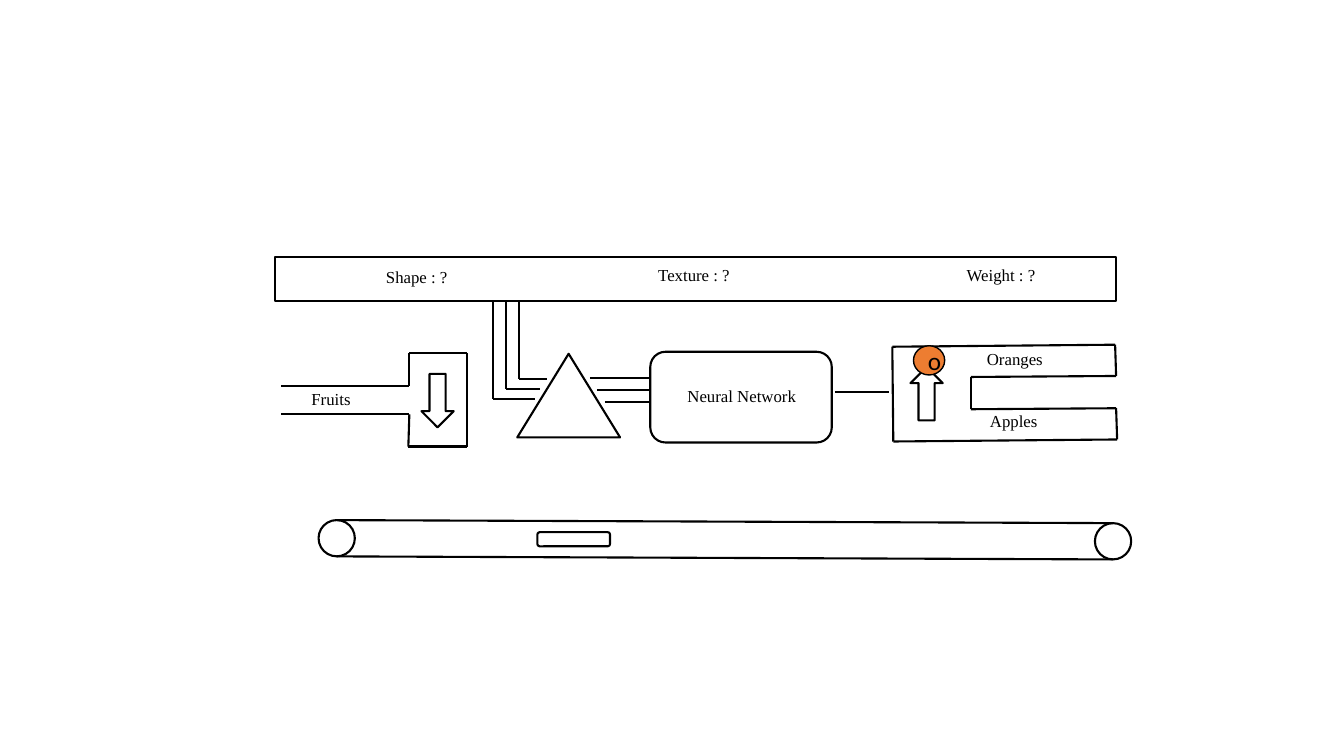
import itertools
from dataclasses import dataclass

import lxml.etree
import pptx
import pptx.dml.color
import pptx.enum.shapes
import pptx.enum.text
import pptx.oxml.ns
import pptx.util

Inches = pptx.util.Inches
Pt = pptx.util.Pt
Color = pptx.dml.color.RGBColor
Shapes = pptx.enum.shapes.MSO_SHAPE


@dataclass
class Theme:
    ink = Color(0x00, 0x00, 0x00)
    paper = Color(0xFF, 0xFF, 0xFF)
    orange = Color(0xED, 0x7D, 0x31)
    label_format = {"name": "Times New Roman", "size": Pt(12)}
    fruit_format = {"name": "Calibri", "size": Pt(18)}
    outline = 1.5
    fruit_outline = 1


class Diagram:
    def __init__(self, slide, theme):
        self.slide = slide
        self.theme = theme

    def ink_line(self, line, width):
        line.color.rgb = self.theme.ink
        line.width = Pt(width)

    def fill_text(self, frame, text, font_format, frame_format):
        for key, value in frame_format.items():
            setattr(frame, key, value)
        run = frame.paragraphs[0].add_run()
        run.text = text
        run.font.color.rgb = self.theme.ink
        for key, value in font_format.items():
            setattr(run.font, key, value)

    def block(self, kind, left, top, width, height, fill=None, outline=None):
        shape = self.slide.shapes.add_shape(
            kind, Inches(left), Inches(top), Inches(width), Inches(height))
        shape.shadow.inherit = False
        shape.fill.solid()
        shape.fill.fore_color.rgb = fill or self.theme.paper
        self.ink_line(shape.line, outline or self.theme.outline)
        return shape

    def trace(self, *points):
        for start, end in itertools.pairwise(points):
            connector = self.slide.shapes.add_connector(
                pptx.enum.shapes.MSO_CONNECTOR.STRAIGHT,
                *(Inches(value) for value in start + end))
            self.ink_line(connector.line, self.theme.outline)
            lxml.etree.SubElement(
                connector._element.spPr, pptx.oxml.ns.qn("a:effectLst"))

    def label(self, text, left, top, width):
        box = self.slide.shapes.add_textbox(
            Inches(left), Inches(top), Inches(width), Inches(0.3))
        self.fill_text(box.text_frame, text, self.theme.label_format, {
            "word_wrap": True,
            "auto_size": pptx.enum.text.MSO_AUTO_SIZE.SHAPE_TO_FIT_TEXT,
        })

    def fruit(self, letter, left, top, width, height):
        ball = self.block(Shapes.OVAL, left, top, width, height,
                          self.theme.orange, self.theme.fruit_outline)
        self.fill_text(ball.text_frame, letter, self.theme.fruit_format, {
            "word_wrap": True,
            "vertical_anchor": pptx.enum.text.MSO_ANCHOR.MIDDLE,
        })
        ball.text_frame.paragraphs[0].alignment = pptx.enum.text.PP_ALIGN.CENTER


def draw_sorting_line(diagram):
    diagram.block(Shapes.RECTANGLE, 2.73, 2.55, 8.34, 0.44)
    diagram.trace((2.79, 3.83), (4.06, 3.83), (4.06, 3.5), (4.63, 3.5),
                  (4.63, 4.43), (4.05, 4.43), (4.06, 4.11), (2.79, 4.11))
    diagram.block(Shapes.ISOSCELES_TRIANGLE, 5.13, 3.51, 1.02, 0.83)
    network_left = 6.45
    diagram.block(Shapes.FLOWCHART_ALTERNATE_PROCESS,
                  network_left, 3.49, 1.8, 0.9)
    diagram.trace((8.85, 3.44), (8.86, 4.38), (11.08, 4.36), (11.07, 4.05),
                  (9.63, 4.06), (9.63, 3.74), (11.07, 3.73), (11.06, 3.42),
                  (8.85, 3.44))

    for left, top, rotation in ((4.18, 3.71, 0), (9.03, 3.64, 180)):
        gate_arrow = diagram.block(Shapes.DOWN_ARROW, left, top, 0.32, 0.53)
        gate_arrow.rotation = rotation

    for text, left, top, width in (
            ("Shape : ?", 3.73, 2.6, 0.97),
            ("Texture : ?", 6.43, 2.58, 0.97),
            ("Weight : ?", 9.49, 2.58, 0.97),
            ("Neural Network", 6.72, 3.78, 1.36),
            ("Oranges", 9.69, 3.41, 1.36),
            ("Apples", 9.72, 4.03, 1.36),
            ("Fruits", 2.99, 3.81, 0.82)):
        diagram.label(text, left, top, width)

    for index, (sensor_left, sensor_right) in enumerate(
            ((5.43, 5.85), (5.36, 5.92), (5.31, 6))):
        drop = 5.15 - 0.13 * index
        bend = 3.76 + 0.1 * index
        signal = 3.75 + 0.12 * index
        diagram.trace((drop, 3), (drop, bend), (sensor_left, bend))
        diagram.trace((sensor_right, signal), (network_left, signal))
    diagram.trace((8.28, 3.89), (8.82, 3.89))

    roller = 0.36
    for left, top in ((3.16, 5.16), (10.86, 5.19)):
        diagram.block(Shapes.OVAL, left, top, roller, roller)
    for drop in (0, roller):
        diagram.trace((3.34, 5.16 + drop), (11.04, 5.19 + drop))
    diagram.block(Shapes.ROUNDED_RECTANGLE, 5.33, 5.28, 0.72, 0.14)
    diagram.fruit("o", 9.06, 3.43, 0.31, 0.29)


def main():
    presentation = pptx.Presentation()
    presentation.slide_width = Inches(13.33)
    presentation.slide_height = Inches(7.5)
    slide = presentation.slides.add_slide(presentation.slide_layouts[6])
    draw_sorting_line(Diagram(slide, Theme()))
    presentation.save("out.pptx")


if __name__ == "__main__":
    main()
